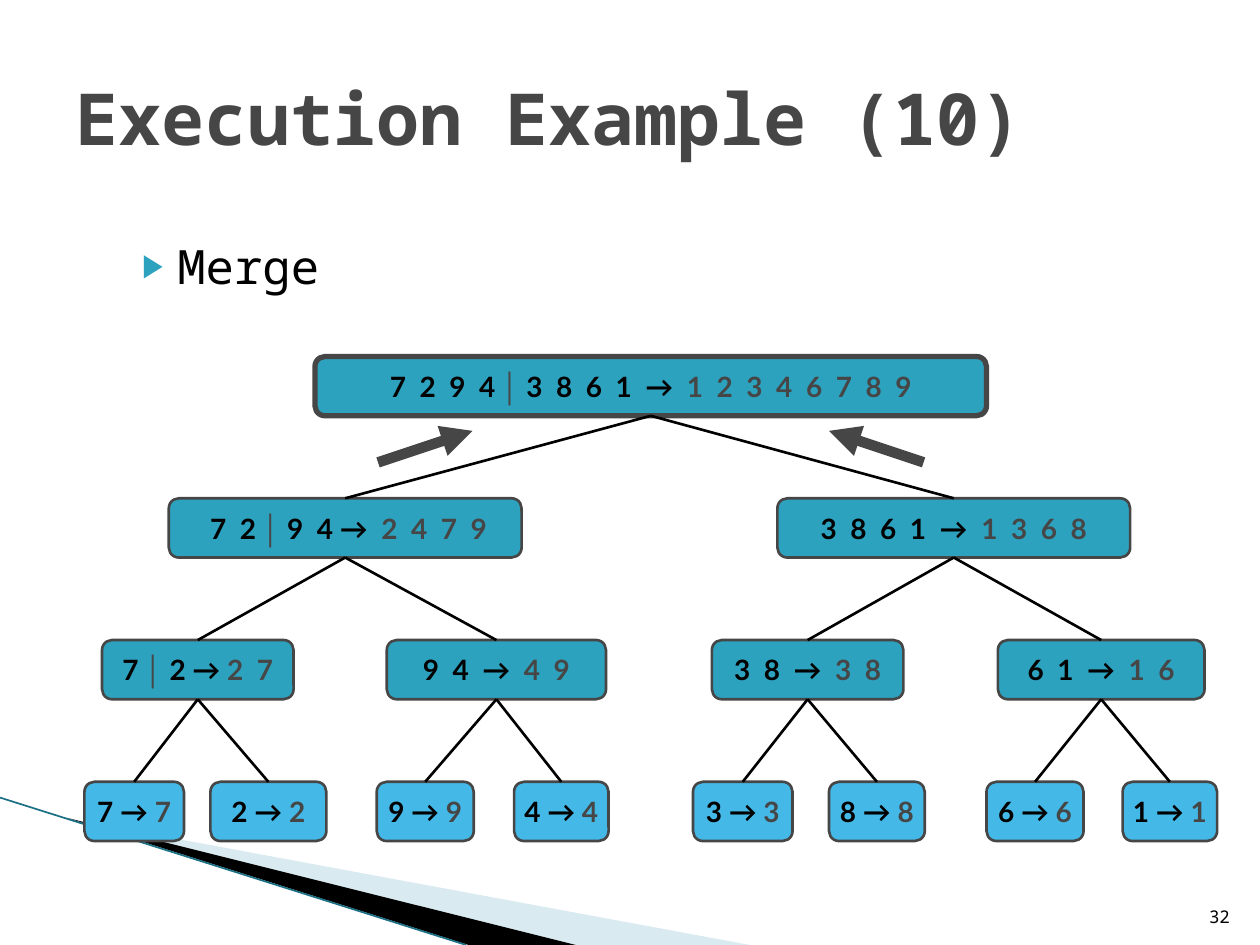
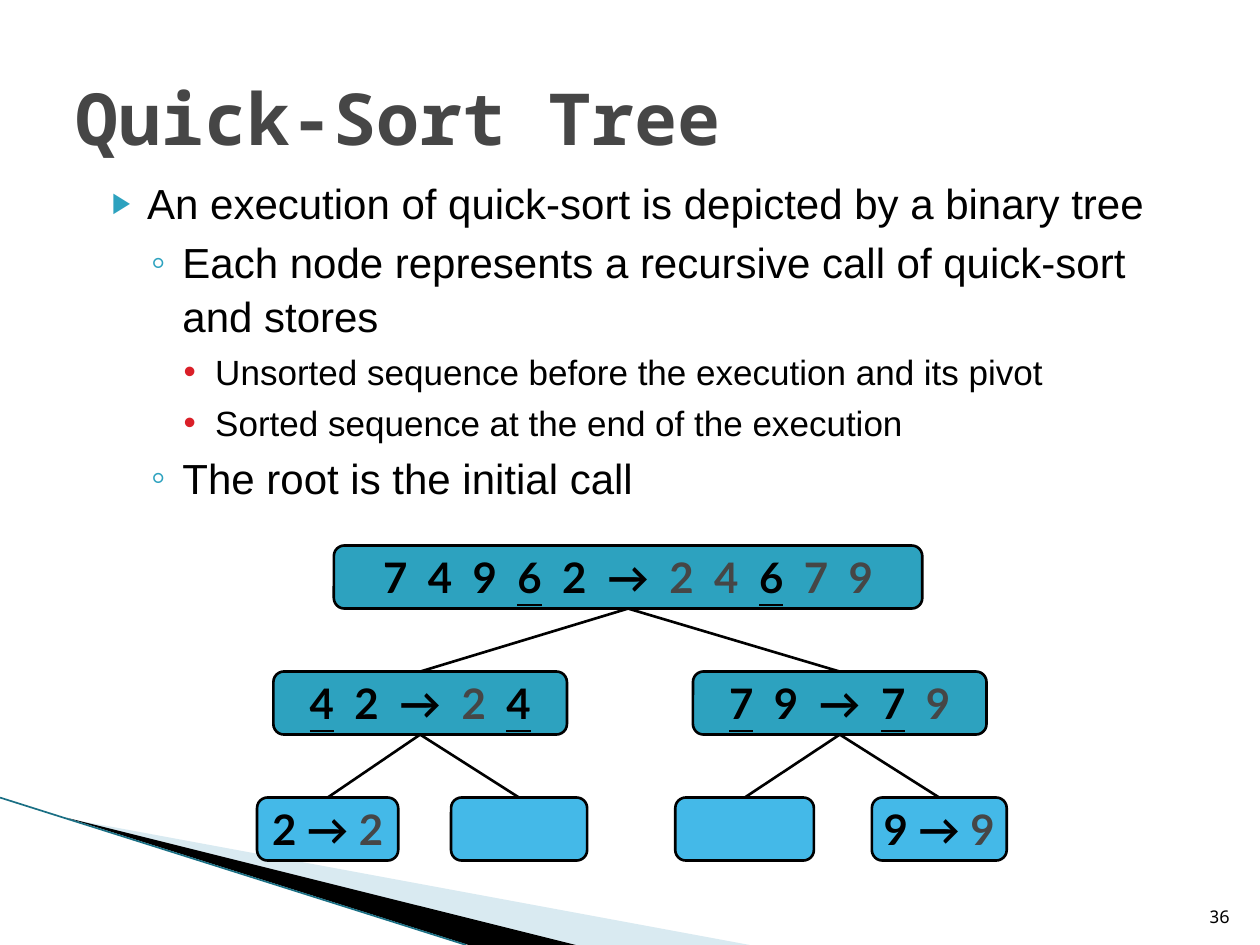
from lxml import etree
from pptx import Presentation, util as u
from pptx.dml.color import RGBColor
from pptx.enum import shapes, text
from pptx.oxml import ns

BLACK = RGBColor(0x00, 0x00, 0x00)
GREY = RGBColor(0x46, 0x46, 0x46)
TEAL = RGBColor(0x2D, 0xA2, 0xBF)
SKY = RGBColor(0x44, 0xB9, 0xE8)
PALE = RGBColor(0xA0, 0xCB, 0xDC)
EDGE = RGBColor(0x1A, 0x6F, 0x84)
RED = RGBColor(0xDA, 0x1F, 0x28)
MONO, SANS, NODE_FONT = "Noto Sans Mono", "Arial", "Lato"

# Bullet levels: indent, hanging, space before, character, colour, size in %
BULLETS = [(0.4, 0.28, 4, "▶", TEAL, 68),
           (0.68, 0.25, 3.2, "◦", TEAL, 100),
           (0.94, 0.25, 3.5, "•", RED, 100)]

# In node labels the text after the arrow is the sorted result,
# and underscores enclose a pivot or a divider.
SLIDES = [
    dict(title="Execution Example (10)", number="32",
         body=(0.91, 1.83, 8.5, 0.75), font=MONO, spacing=1.0,
         bullets=[(0, 27, "Merge")],
         top=2.83, step=1.125, height=0.47, size=16, outline=GREY, root_width=3,
         levels=[
             [(2.5, 5.33, "7  2  9  4 _│_ 3  8  6  1  →  1  2  3  4  6  7  8  9")],
             [(1.34, 2.8, " 7  2 _│_ 9  4 →  2  4  7  9"),
              (6.17, 2.8, "3  8  6  1  →  1  3  6  8")],
             [(0.81, 1.52, "7 _│_ 2 → 2  7"), (3.07, 1.74, "9  4  →  4  9"),
              (5.65, 1.52, "3  8  →  3  8"), (7.92, 1.64, "6  1  →  1  6")],
             [(0.67, 0.79, "7 → 7"), (1.67, 0.92, "2 → 2"),
              (2.99, 0.77, "9 → 9"), (4.08, 0.75, "4 → 4"),
              (5.5, 0.79, "3 → 3"), (6.58, 0.76, "8 → 8"),
              (7.83, 0.77, "6 → 6"), (8.91, 0.75, "1 → 1")]],
         merge_arrows=[(3, 3.75), (7.33, 6.58)]),
    dict(title="Quick-Sort Tree", number="36",
         body=(0.67, 1.33, 8.66, 2.5), font=SANS, spacing=1.07,
         bullets=[
             (0, 24, "An execution of quick-sort is depicted by a binary tree"),
             (1, 24, "Each node represents a recursive call of quick-sort and stores"),
             (2, 20, "Unsorted sequence before the execution and its pivot"),
             (2, 20, "Sorted sequence at the end of the execution"),
             (1, 24, "The root is the initial call")],
         top=4.33, step=1, height=0.5, size=24, outline=BLACK, root_width=1.5,
         levels=[
             [(2.65, 4.67, "7  4  9  _6_  2  →  2  4  _6_  7  9")],
             [(2.17, 2.33, "_4_  2  →  2  _4_"), (5.5, 2.33, "_7_  9  →  _7_  9")],
             [(2.04, 1.12, "2 → 2"), (3.58, 1.08, ""),
              (5.36, 1.1, ""), (6.92, 1.07, "9 → 9")]],
         merge_arrows=[]),
]


def add_line(s, x1, y1, x2, y2, color, width):
    c = s.shapes.add_connector(shapes.MSO_CONNECTOR.STRAIGHT, u.Inches(x1),
                               u.Inches(y1), u.Inches(x2), u.Inches(y2))
    c.line.color.rgb = color
    c.line.width = u.Pt(width)
    etree.SubElement(c._element.spPr, ns.qn("a:effectLst"))
    return c


def add_text(s, box, value, size, color, anchor, align, bold=False):
    tf = s.shapes.add_textbox(*map(u.Inches, box)).text_frame
    tf.word_wrap = True
    tf.vertical_anchor = anchor
    p = tf.paragraphs[0]
    p.text = value
    p.alignment = align
    f = p.runs[0].font
    f.name, f.size, f.bold = MONO, u.Pt(size), bold
    f.color.rgb = color


prs = Presentation()
prs.slide_width, prs.slide_height = u.Inches(10), u.Inches(7.5)

for d in SLIDES:
    s = prs.slides.add_slide(prs.slide_layouts[6])

    # Corner bands
    for color, points in (
            (PALE, [(0.55, 6.5), (5.95, 7.5), (4.56, 7.5)]),
            (BLACK, [(0.53, 6.49), (4.57, 7.5), (3.72, 7.5)])):
        points = [(u.Inches(x), u.Inches(y)) for x, y in points]
        fb = s.shapes.build_freeform(*points[0], scale=1.0)
        fb.add_line_segments(points[1:], close=True)
        sp = fb.convert_to_shape()
        sp.shadow.inherit = False
        sp.fill.solid()
        sp.fill.fore_color.rgb = color
        sp.line.fill.background()
        if color == PALE:
            clr = sp._element.spPr.find(".//" + ns.qn("a:srgbClr"))
            etree.SubElement(clr, ns.qn("a:alpha"), val="40000")
    add_line(s, 0, 6.33, 3.7, 7.5, EDGE, 0.95)

    # Slide number and title
    add_text(s, (9.46, 7.01, 0.4, 0.4), d["number"], 10, BLACK,
             text.MSO_ANCHOR.BOTTOM, text.PP_ALIGN.RIGHT)
    add_text(s, (0.5, 0.3, 9, 1.25), d["title"], 41, GREY,
             text.MSO_ANCHOR.MIDDLE, text.PP_ALIGN.LEFT, bold=True)

    # Bulleted body
    tf = s.shapes.add_textbox(*map(u.Inches, d["body"])).text_frame
    tf.word_wrap = True
    for i, (level, size, value) in enumerate(d["bullets"]):
        indent, hanging, before, char, color, percent = BULLETS[level]
        p = tf.add_paragraph() if i else tf.paragraphs[0]
        p.text = value
        p.level = level
        p.line_spacing = d["spacing"]
        p.space_before = u.Pt(before)
        f = p.runs[0].font
        f.name, f.size = d["font"], u.Pt(size)
        f.color.rgb = BLACK
        pPr = p._p.get_or_add_pPr()
        pPr.set("marL", str(u.Inches(indent)))
        pPr.set("indent", str(-u.Inches(hanging)))
        bu = etree.SubElement(pPr, ns.qn("a:buClr"))
        etree.SubElement(bu, ns.qn("a:srgbClr"), val=str(color))
        etree.SubElement(pPr, ns.qn("a:buSzPct"), val=str(percent * 1000))
        etree.SubElement(pPr, ns.qn("a:buFont"), typeface=SANS)
        etree.SubElement(pPr, ns.qn("a:buChar"), char=char)

    # Binary tree, each node joined to its parent in the row above
    parents = []
    for depth, row in enumerate(d["levels"]):
        top = d["top"] + depth * d["step"]
        is_leaf = depth == len(d["levels"]) - 1
        nodes = []
        for i, (left, width, label) in enumerate(row):
            sp = s.shapes.add_shape(
                shapes.MSO_SHAPE.ROUNDED_RECTANGLE, u.Inches(left),
                u.Inches(top), u.Inches(width), u.Inches(d["height"]))
            sp.shadow.inherit = False
            sp.fill.solid()
            sp.fill.fore_color.rgb = SKY if is_leaf else TEAL
            sp.line.color.rgb = d["outline"]
            sp.line.width = u.Pt(1.5 if depth else d["root_width"])
            tf = sp.text_frame
            tf.word_wrap = False
            tf.vertical_anchor = text.MSO_ANCHOR.MIDDLE
            p = tf.paragraphs[0]
            p.alignment = text.PP_ALIGN.CENTER
            before, arrow, after = label.partition("→")
            for half, color in ((before + arrow, BLACK), (after, GREY)):
                for k, piece in enumerate(half.split("_")):
                    if not piece:
                        continue
                    divider = piece == "│"
                    pivot = k % 2 == 1 and not divider
                    r = p.add_run()
                    r.text = piece
                    r.font.name = SANS if divider else NODE_FONT
                    r.font.size = u.Pt(d["size"])
                    r.font.bold = True
                    r.font.underline = pivot
                    r.font.color.rgb = GREY if divider else BLACK if pivot else color
            if parents:
                c = add_line(s, 0, 0, 1, 1, BLACK, 1.5)
                c.begin_connect(parents[i // 2], 2)
                c.end_connect(sp, 0)
            nodes.append(sp)
        parents = nodes

    # Arrows showing the halves being merged upwards
    for tail_x, tip_x in d["merge_arrows"]:
        c = add_line(s, tail_x, 3.67, tip_x, 3.42, GREY, 6)
        etree.SubElement(c.line._get_or_add_ln(), ns.qn("a:tailEnd"), type="triangle")

prs.save("out.pptx")
